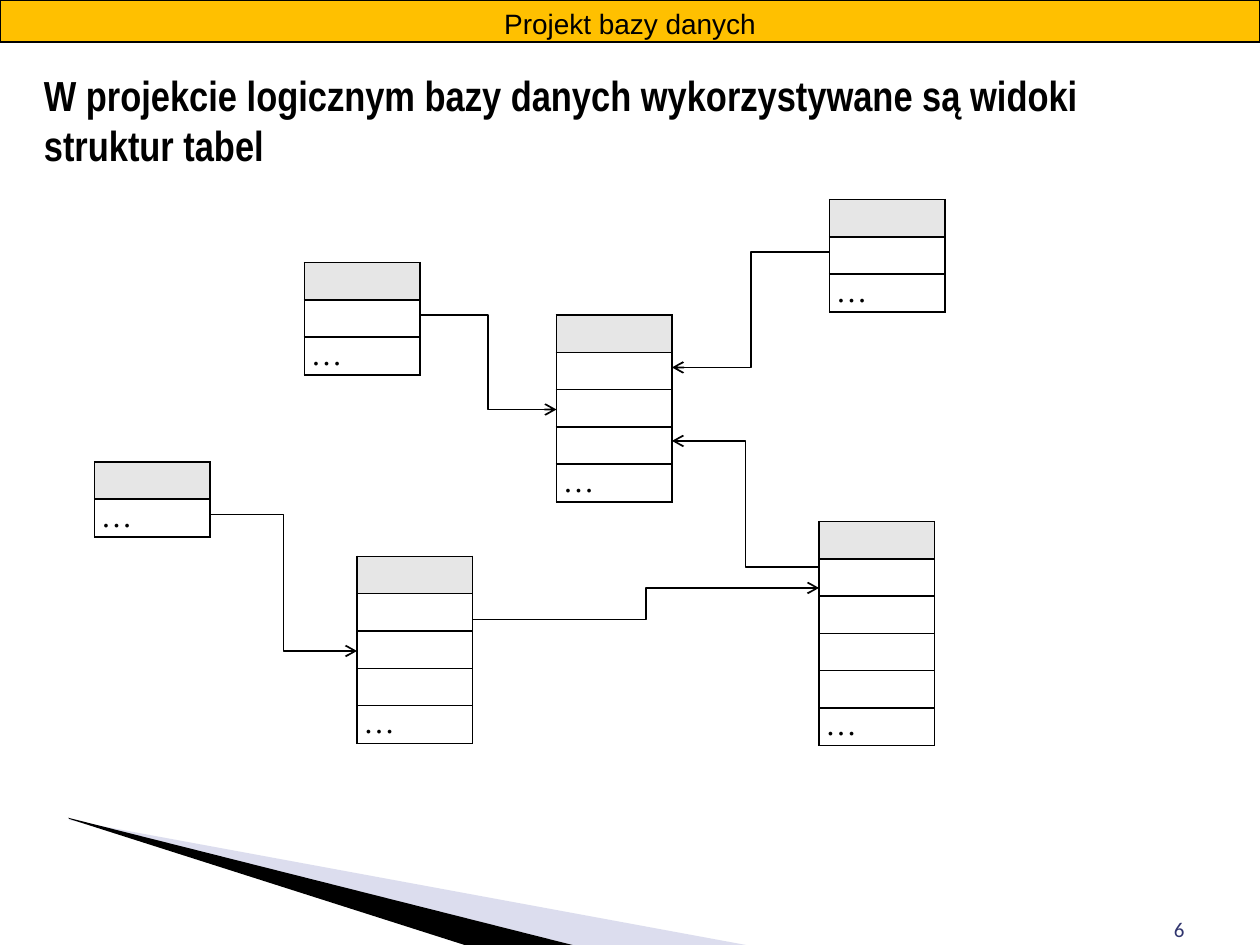
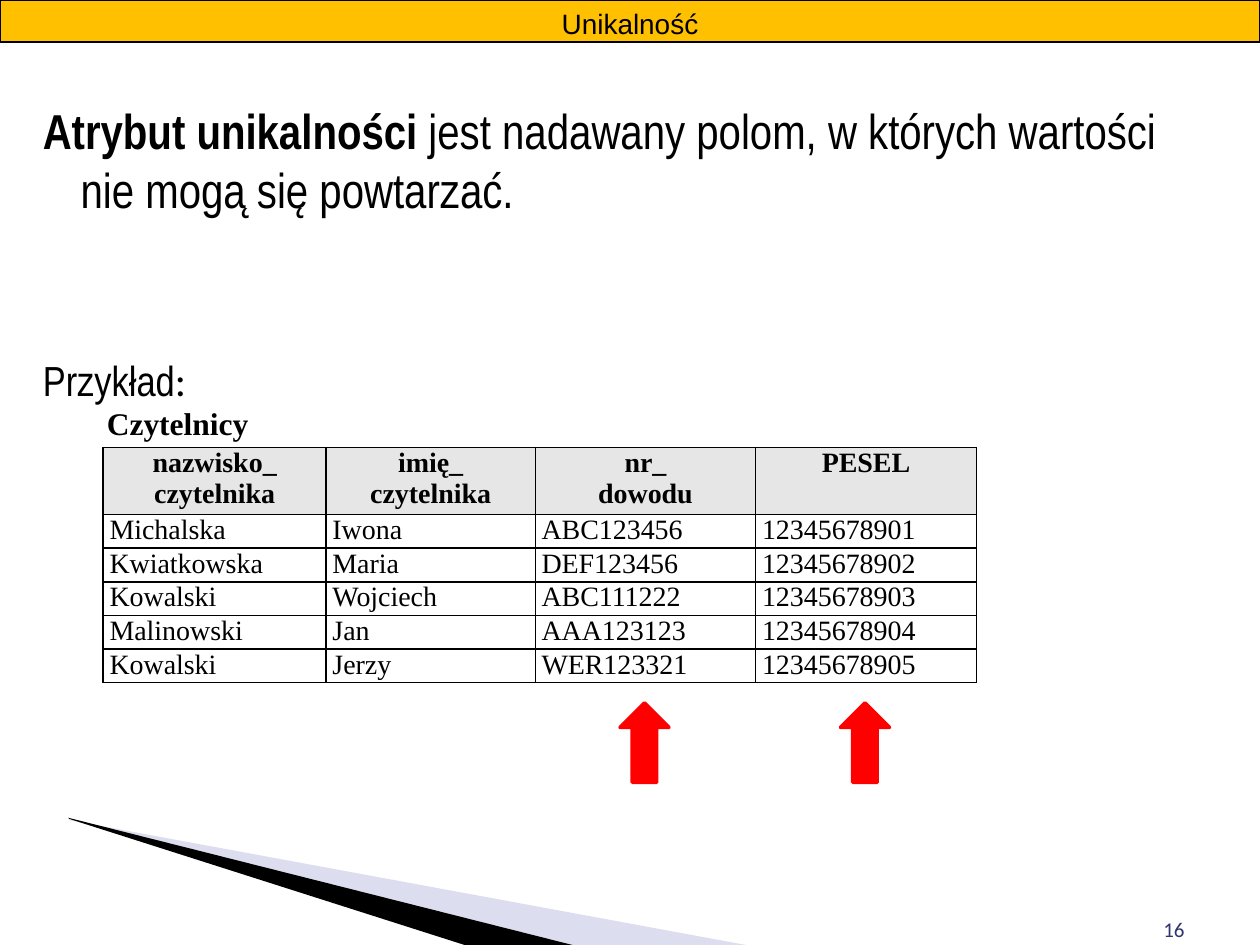
import dataclasses

import lxml.etree
import pptx
import pptx.chart.data
import pptx.dml.color
import pptx.enum.dml
import pptx.enum.shapes
import pptx.enum.text
import pptx.oxml.ns
import pptx.util

Pt = pptx.util.Pt
ALIGN = pptx.enum.text.PP_ALIGN
ANCHOR = pptx.enum.text.MSO_ANCHOR
SHAPE = pptx.enum.shapes.MSO_SHAPE


@dataclasses.dataclass(frozen=True)
class Theme:
    ink: str = "000000"
    band: str = "FFC000"
    header: str = "E6E6E6"
    wedge: str = "A8ABD5"
    number: str = "30356E"
    marker: str = "FF0000"
    sans: str = "Arial"
    narrow: str = "Arial Narrow"
    plain: str = "Calibri"
    serif: str = "Times New Roman"
    lead_size: float = 28
    heading_size: float = 24
    label_size: float = 18
    body_size: float = 16
    number_size: float = 12
    rule: float = 1


def rgb(color):
    return pptx.dml.color.RGBColor.from_string(color)


def add_xml(parent, tag, **attributes):
    return lxml.etree.SubElement(parent, pptx.oxml.ns.qn(tag), **attributes)


class PageBuilder:
    def __init__(self, deck, theme):
        self.deck = deck
        self.theme = theme
        self.page = None

    def start_page(self, title, number):
        layout = self.deck.slide_layouts.get_by_name("Title Only")
        self.page = self.deck.slides.add_slide(layout)
        theme = self.theme
        pale = self.wedge([(39.6, 468.7), (429, 540.5), (329, 540.5), (39.6, 468)], theme.wedge)
        color = pale.fill._xPr.find(".//" + pptx.oxml.ns.qn("a:srgbClr"))
        add_xml(color, "a:alpha", val="40000")
        self.wedge([(38.9, 467.3), (329, 540.5), (268.6, 541), (39.6, 468)], theme.ink)
        self.band(title)
        self.text(516.2, 504, 167.8, 37.4,
                  [[(number, theme.number_size, theme.plain, False, theme.number)]],
                  align=ALIGN.RIGHT, anchor=ANCHOR.BOTTOM)

    def wedge(self, points, color):
        corners = [(Pt(x), Pt(y)) for x, y in points]
        builder = self.page.shapes.build_freeform(*corners[0])
        builder.add_line_segments(corners[1:], close=True)
        wedge = builder.convert_to_shape()
        wedge.shadow.inherit = False
        wedge.fill.solid()
        wedge.fill.fore_color.rgb = rgb(color)
        wedge.line.fill.background()
        return wedge

    def band(self, title):
        theme = self.theme
        band = self.page.shapes.title
        band.left, band.top, band.width, band.height = Pt(0), Pt(0), Pt(720), Pt(24)
        band.fill.solid()
        band.fill.fore_color.rgb = rgb(theme.band)
        band.line.color.rgb = rgb(theme.ink)
        band.line.width = Pt(0.75)
        frame = band.text_frame
        frame.auto_size = pptx.enum.text.MSO_AUTO_SIZE.NONE
        frame.vertical_anchor = ANCHOR.TOP
        frame.margin_top, frame.margin_bottom = Pt(3.6), Pt(0)
        para = frame.paragraphs[0]
        para.alignment = ALIGN.CENTER
        self.span(para, title, theme.body_size, theme.sans)

    def span(self, para, text, size, font, bold=False, color=None):
        span = para.add_run()
        span.text = text
        span.font.size = Pt(size)
        span.font.name = font
        span.font.bold = bold
        span.font.color.rgb = rgb(color or self.theme.ink)

    def text(self, left, top, width, height, paragraphs, align=ALIGN.LEFT,
             anchor=ANCHOR.TOP, inset=None, hanging=0, gap=0):
        box = self.page.shapes.add_textbox(Pt(left), Pt(top), Pt(width), Pt(height))
        frame = box.text_frame
        frame.word_wrap = True
        frame.vertical_anchor = anchor
        if inset is not None:
            frame.margin_left = frame.margin_right = Pt(inset)
            frame.margin_top = frame.margin_bottom = Pt(inset)
        for index, spans in enumerate(paragraphs):
            para = frame.add_paragraph() if index else frame.paragraphs[0]
            para.alignment = align
            if index:
                para.space_before = Pt(gap)
            if hanging:
                properties = para._p.get_or_add_pPr()
                properties.set("marL", str(Pt(hanging)))
                properties.set("indent", str(-Pt(hanging)))
            for span in spans:
                self.span(para, *span)

    def table(self, left, top, widths, heights, rows, size):
        grid = self.page.shapes.add_table(
            len(rows), len(widths), Pt(left), Pt(top), Pt(sum(widths)), Pt(sum(heights))).table
        grid.first_row = grid.horz_banding = False
        for column, width in zip(grid.columns, widths):
            column.width = Pt(width)
        for index, (row, height, texts) in enumerate(zip(grid.rows, heights, rows)):
            row.height = Pt(height)
            for cell, text in zip(row.cells, texts):
                self.cell(cell, text, size, index == 0)

    def cell(self, cell, text, size, header):
        theme = self.theme
        cell.margin_left = cell.margin_right = Pt(3.6)
        cell.margin_top = cell.margin_bottom = Pt(0)
        properties = cell._tc.get_or_add_tcPr()
        for side in ("a:lnL", "a:lnR", "a:lnT", "a:lnB"):
            border = add_xml(properties, side, w=str(Pt(theme.rule)))
            add_xml(add_xml(border, "a:solidFill"), "a:srgbClr", val=theme.ink)
        if header:
            cell.fill.solid()
            cell.fill.fore_color.rgb = rgb(theme.header)
        else:
            cell.fill.background()
        para = cell.text_frame.paragraphs[0]
        para.alignment = ALIGN.CENTER if header else ALIGN.LEFT
        if not text:
            add_xml(para._p, "a:endParaRPr", sz=str(theme.number_size * 100))
            return
        for index, line in enumerate(text.split("\n")):
            if index:
                para.add_line_break()
            self.span(para, line, size, theme.serif, header)

    def entity(self, left, top, row_count):
        rows = [[""]] * (row_count - 1) + [["…"]]
        heights = [21.3] * (row_count - 1) + [20]
        self.table(left, top, [66], heights, rows, self.theme.label_size)

    def relation(self, *ends):
        line = self.page.shapes.add_connector(
            pptx.enum.shapes.MSO_CONNECTOR.ELBOW, *(Pt(value) for value in ends))
        line.line.color.rgb = rgb(self.theme.ink)
        line.line.width = Pt(self.theme.rule)
        add_xml(line.line._get_or_add_ln(), "a:tailEnd", type="arrow")
        add_xml(line._element.spPr, "a:effectLst")

    def marker(self, left, top):
        arrow = self.page.shapes.add_shape(SHAPE.RIGHT_ARROW, Pt(left), Pt(top), Pt(45.4), Pt(28))
        arrow.rotation = 270
        arrow.shadow.inherit = False
        arrow.fill.solid()
        arrow.fill.fore_color.rgb = rgb(self.theme.marker)
        arrow.line.color.rgb = rgb(self.theme.marker)
        arrow.line.width = Pt(2)


def build_design_page(builder):
    theme = builder.theme
    builder.start_page("Projekt bazy danych", "6")
    entities = [(174, 150, 3), (318, 180, 5), (474, 114, 3),
                (468, 298, 6), (204, 318, 5), (54, 264, 2)]
    for entity in entities:
        builder.entity(*entity)
    relations = [(240, 180, 318, 234), (474, 144, 384, 210), (270, 354, 468, 336),
                 (468, 324, 384, 252), (120, 294, 204, 372)]
    for relation in relations:
        builder.relation(*relation)
    heading = "W projekcie logicznym bazy danych wykorzystywane są widoki struktur tabel"
    builder.text(18, 36, 666, 65.5, [[(heading, theme.heading_size, theme.narrow, True)]])


def build_uniqueness_page(builder):
    theme = builder.theme
    builder.start_page("Unikalność", "16")
    builder.text(20.9, 54, 669.6, 372, [
        [("Atrybut unikalności ", theme.lead_size, theme.narrow, True),
         ("jest nadawany polom, w których wartości nie mogą się powtarzać.",
          theme.lead_size, theme.narrow)],
        [("Przykład", theme.heading_size, theme.narrow),
         (":", theme.heading_size, theme.plain)],
    ], inset=3.6, hanging=21.6, gap=78)
    builder.text(54, 227.5, 136, 28.8, [[("Czytelnicy", theme.label_size, theme.serif, True)]])
    readers = [
        ["nazwisko_\nczytelnika", "imię_\nczytelnika", "nr_\ndowodu", "PESEL"],
        ["Michalska", "Iwona", "ABC123456", "12345678901"],
        ["Kwiatkowska", "Maria", "DEF123456", "12345678902"],
        ["Kowalski", "Wojciech", "ABC111222", "12345678903"],
        ["Malinowski", "Jan", "AAA123123", "12345678904"],
        ["Kowalski", "Jerzy", "WER123321", "12345678905"],
    ]
    builder.table(59, 255.6, [127.4, 119.5, 126, 126], [35.6] + [17.8] * 5,
                  readers, theme.body_size)
    for column in range(2):
        builder.marker(345.6 + 126 * column, 410.4)


deck = pptx.Presentation()
deck.slide_width, deck.slide_height = Pt(720), Pt(540)
builder = PageBuilder(deck, Theme())
build_design_page(builder)
build_uniqueness_page(builder)
deck.save("out.pptx")
